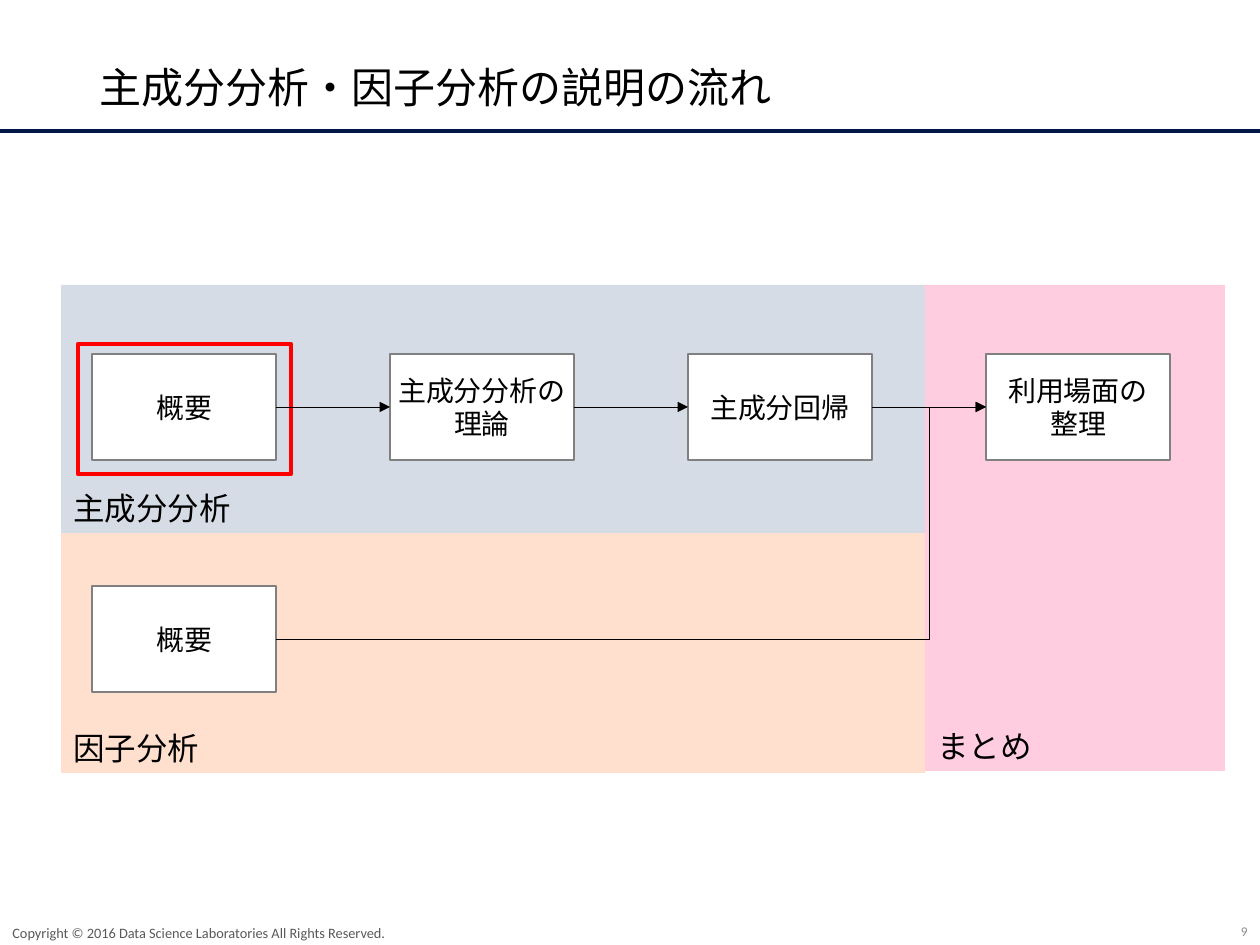
from pptx import Presentation
from pptx import util as u
from pptx.dml.color import RGBColor
from pptx.enum import shapes, text
from pptx.oxml.ns import qn
from lxml import etree

EMU_PER_PX = 914400 / 126
LATIN, JAPANESE = "Calibri", "Noto Sans CJK JP"

BLACK = RGBColor(0x00, 0x00, 0x00)
WHITE = RGBColor(0xFF, 0xFF, 0xFF)
RED = RGBColor(0xFF, 0x00, 0x00)
BOX_GRAY = RGBColor(0x80, 0x80, 0x80)
NUMBER_GRAY = RGBColor(0x8C, 0x8C, 0x8C)
COPYRIGHT_GRAY = RGBColor(0x59, 0x59, 0x59)
RULE_FILL = RGBColor(0x44, 0x54, 0x6A)
RULE_EDGE = RGBColor(0x00, 0x18, 0x47)
PCA_BLUE = RGBColor(0xD6, 0xDC, 0xE5)
FACTOR_ORANGE = RGBColor(0xFF, 0xDF, 0xCE)
SUMMARY_PINK = RGBColor(0xFF, 0xCC, 0xE0)

# Step grid
STEP_LEFT, STEP_PITCH = 92, 298
STEP_W, STEP_H = 184, 106
PCA_ROW, FACTOR_ROW = 354, 586
LEFT_SITE, RIGHT_SITE = 1, 3


def px(length):
    return u.Emu(round(length * EMU_PER_PX))


def write(shape, words, size, color=BLACK, align=text.PP_ALIGN.LEFT,
          anchor=text.MSO_ANCHOR.MIDDLE, wrap=True, latin=LATIN, spacing=None):
    frame = shape.text_frame
    frame.text = words
    frame.word_wrap = wrap
    frame.vertical_anchor = anchor
    font_format = {"size": u.Pt(size), "name": latin}
    for paragraph in frame.paragraphs:
        paragraph.alignment = align
        paragraph.line_spacing = spacing
        for run in paragraph.runs:
            for key, value in font_format.items():
                setattr(run.font, key, value)
            run.font.color.rgb = color
            east_asian = etree.SubElement(run.font._element, qn("a:ea"))
            east_asian.set("typeface", JAPANESE)


def add_label(slide, box, words, size, **style):
    label = slide.shapes.add_textbox(*map(px, box))
    write(label, words, size, **style)


def add_rect(slide, box, fill=None, line=None, width=1):
    rect = slide.shapes.add_shape(shapes.MSO_SHAPE.RECTANGLE, *map(px, box))
    rect.shadow.inherit = False
    if fill is None:
        rect.fill.background()
    else:
        rect.fill.solid()
        rect.fill.fore_color.rgb = fill
    if line is None:
        rect.line.fill.background()
    else:
        rect.line.color.rgb = line
        rect.line.width = u.Pt(width)
    return rect


def add_area(slide, box, fill, name):
    area = add_rect(slide, box, fill)
    write(area, name, 18, anchor=text.MSO_ANCHOR.BOTTOM, wrap=False)


def add_step(slide, column, top, words):
    box = (STEP_LEFT + column * STEP_PITCH, top, STEP_W, STEP_H)
    step = add_rect(slide, box, WHITE, BOX_GRAY, 1.5)
    write(step, words, 16, align=text.PP_ALIGN.CENTER, wrap=False)
    return step


def add_arrow(slide, source, target, bend=None):
    kind = shapes.MSO_CONNECTOR.STRAIGHT if bend is None else shapes.MSO_CONNECTOR.ELBOW
    middle = [step.top + step.height // 2 for step in (source, target)]
    arrow = slide.shapes.add_connector(
        kind, source.left + source.width, middle[0], target.left, middle[1])
    arrow.begin_connect(source, RIGHT_SITE)
    arrow.end_connect(target, LEFT_SITE)
    arrow.line.color.rgb = BLACK
    arrow.line.width = u.Pt(0.5)
    etree.SubElement(arrow.line._get_or_add_ln(), qn("a:tailEnd"), type="triangle")
    properties = arrow._element.spPr
    etree.SubElement(properties, qn("a:effectLst"))
    if bend is not None:
        adjustments = properties.find(qn("a:prstGeom")).find(qn("a:avLst"))
        etree.SubElement(adjustments, qn("a:gd"), name="adj1",
                         fmla=f"val {round(bend * 100000)}")


def main():
    deck = Presentation()
    deck.slide_width, deck.slide_height = px(1260), px(945)
    slide = deck.slides.add_slide(deck.slide_layouts[6])

    # Title and rule
    add_rect(slide, (0, 130, 1260, 2), RULE_FILL, RULE_EDGE)
    add_label(slide, (87, 50, 1086, 80), "主成分分析・因子分析の説明の流れ", 24,
              latin=JAPANESE, spacing=0.9)

    # Footer
    add_label(slide, (976, 918, 284, 27), "9", 7.6, color=NUMBER_GRAY,
              align=text.PP_ALIGN.RIGHT)
    add_label(slide, (0, 920, 786, 25),
              "Copyright © 2016 Data Science Laboratories All Rights Reserved.",
              8.2, color=COPYRIGHT_GRAY)

    # Topic areas
    add_area(slide, (61, 530, 864, 243), FACTOR_ORANGE, "因子分析")
    add_area(slide, (925, 285, 300, 486), SUMMARY_PINK, "まとめ")
    add_area(slide, (61, 285, 864, 248), PCA_BLUE, "主成分分析")

    # Steps, with the current one framed in red
    names = ["概要", "主成分分析の\n理論", "主成分回帰", "利用場面の\v整理"]
    steps = [add_step(slide, column, PCA_ROW, name)
             for column, name in enumerate(names)]
    factor_overview = add_step(slide, 0, FACTOR_ROW, "概要")
    add_rect(slide, (78, 344, 213, 130), line=RED, width=2.5)

    # Flow
    for source, target in zip(steps, steps[1:]):
        add_arrow(slide, source, target)
    add_arrow(slide, factor_overview, steps[-1], bend=0.92)

    deck.save("out.pptx")


if __name__ == "__main__":
    main()
